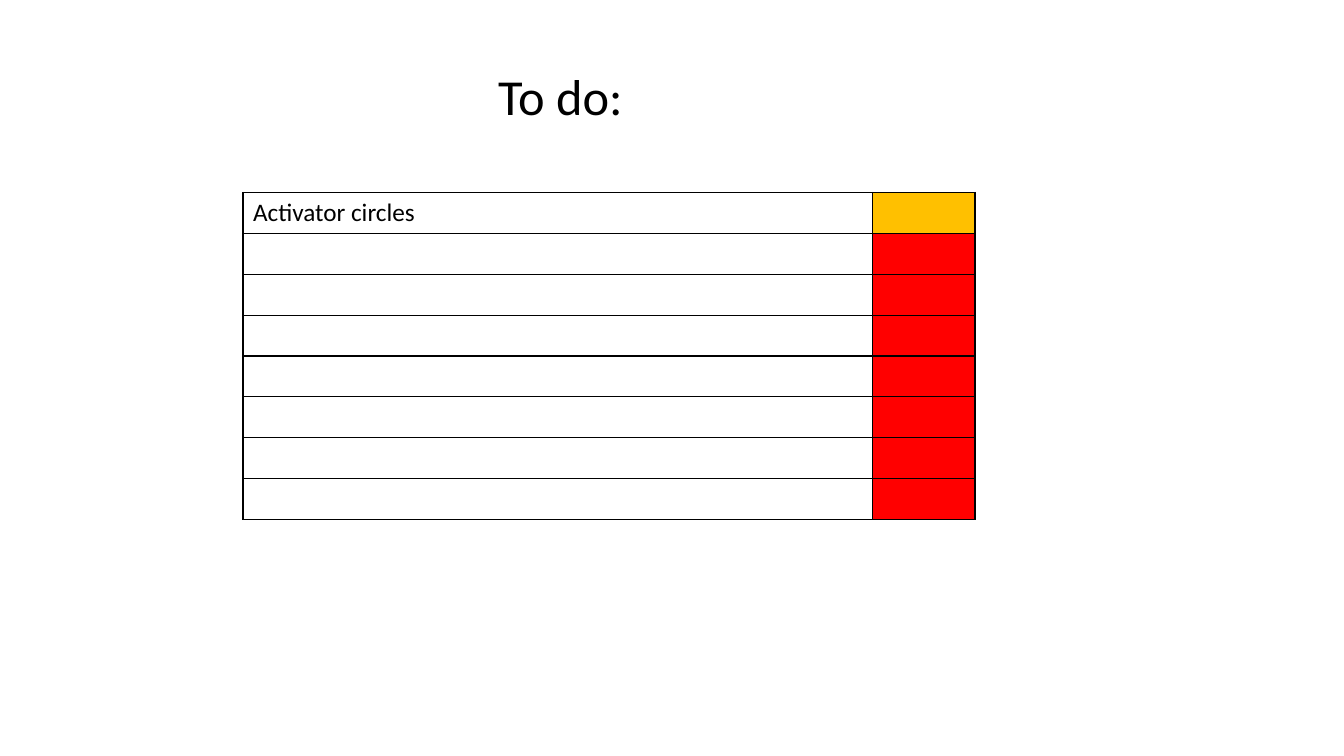
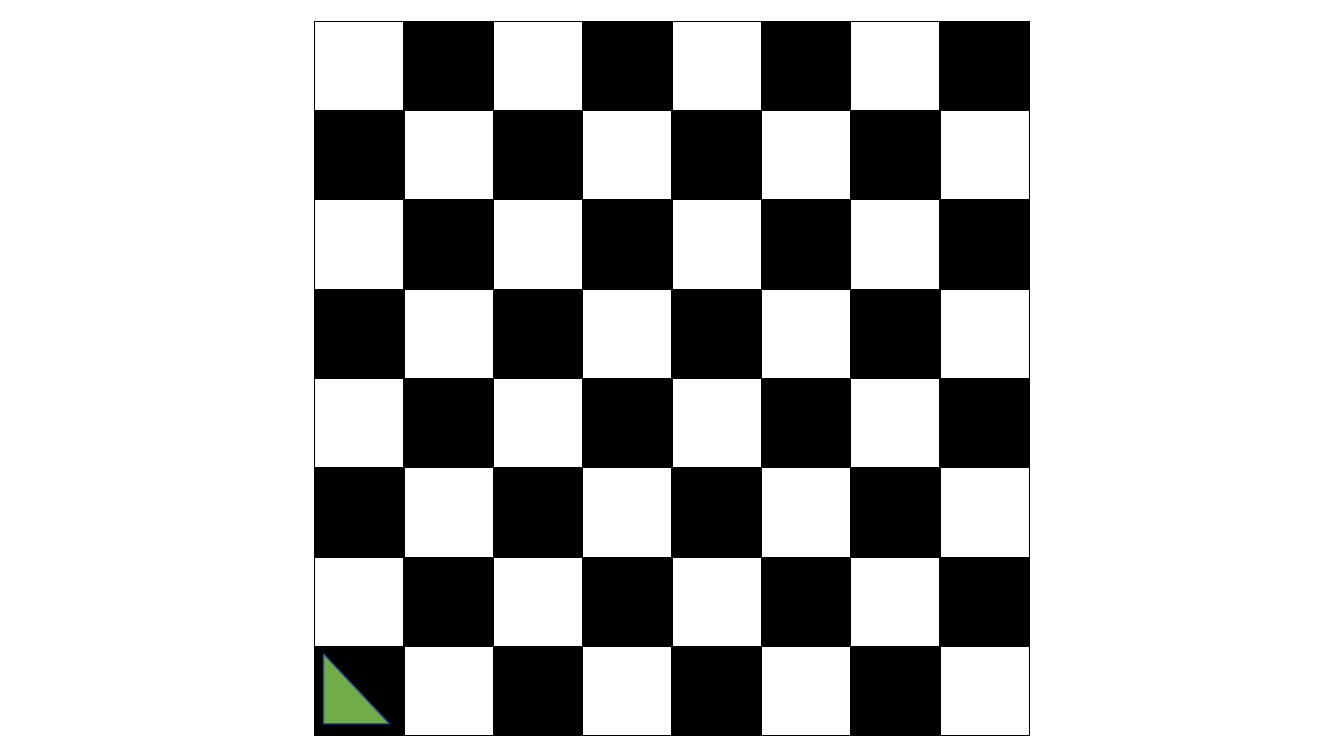
"""Build a to-do table slide and a chessboard slide."""
from dataclasses import dataclass

from lxml import etree
from pptx import Presentation
from pptx.dml.color import RGBColor
from pptx.enum import shapes, text
from pptx.oxml import ns
from pptx.util import Inches, Pt


@dataclass(frozen=True)
class Theme:
    font: str = "Calibri"
    title_size: int = 36
    body_size: int = 18
    line_width: int = 1
    black: str = "000000"
    white: str = "FFFFFF"
    amber: str = "FFC000"
    red: str = "FF0000"
    green: str = "70AD47"
    blue: str = "325491"


theme = Theme()


def style_text(tf, size):
    for p in tf.paragraphs:
        for r in p.runs:
            r.font.name = theme.font
            r.font.size = Pt(size)
            r.font.bold = False
            r.font.color.rgb = RGBColor.from_string(theme.black)


def add_grid(s, left, top, width, height, fills):
    frame = s.shapes.add_table(len(fills), len(fills[0]), Inches(left),
                               Inches(top), Inches(width), Inches(height))
    table = frame.table
    table.first_row = table.horz_banding = False
    for row, colours in zip(table.rows, fills):
        for cell, colour in zip(row.cells, colours):
            tc_pr = cell._tc.get_or_add_tcPr()
            for side in ("L", "R", "T", "B"):
                ln = etree.SubElement(tc_pr, ns.qn(f"a:ln{side}"),
                                      w=str(Pt(theme.line_width)))
                fill = etree.SubElement(ln, ns.qn("a:solidFill"))
                etree.SubElement(fill, ns.qn("a:srgbClr"), val=theme.black)
            cell.fill.solid()
            cell.fill.fore_color.rgb = RGBColor.from_string(colour)
    return table


prs = Presentation()
prs.slide_width, prs.slide_height = Inches(13.33), Inches(7.5)
title_only, blank = prs.slide_layouts[5], prs.slide_layouts[6]

s = prs.slides.add_slide(title_only)
title = s.shapes.title
title.left, title.top = Inches(4.84), Inches(0.6)
title.width, title.height = Inches(2.81), Inches(0.71)
tf = title.text_frame
tf.text = "To do:"
tf.auto_size = text.MSO_AUTO_SIZE.NONE
tf.vertical_anchor = text.MSO_ANCHOR.TOP
tf.paragraphs[0].alignment = text.PP_ALIGN.LEFT
style_text(tf, theme.title_size)

tasks = ["Activator circles"] + [""] * 7
statuses = [theme.amber if task else theme.red for task in tasks]
todo = add_grid(s, 2.41, 1.91, 7.26, 3.24,
                [(theme.white, status) for status in statuses])
todo.columns[0].width, todo.columns[1].width = Inches(6.24), Inches(1.02)
for row, task in zip(todo.rows, tasks):
    if task:
        tf = row.cells[0].text_frame
        tf.text = task
        style_text(tf, theme.body_size)

s = prs.slides.add_slide(blank)
squares = [[(theme.white, theme.black)[(row + col) % 2] for col in range(8)]
           for row in range(8)]
add_grid(s, 3.12, 0.21, 7.09, 7.09, squares)

sp = s.shapes.add_shape(shapes.MSO_SHAPE.RIGHT_TRIANGLE, Inches(3.21),
                        Inches(6.49), Inches(0.65), Inches(0.69))
sp.shadow.inherit = False
sp.fill.solid()
sp.fill.fore_color.rgb = RGBColor.from_string(theme.green)
sp.line.color.rgb = RGBColor.from_string(theme.blue)
sp.line.width = Pt(theme.line_width)

prs.save("out.pptx")
